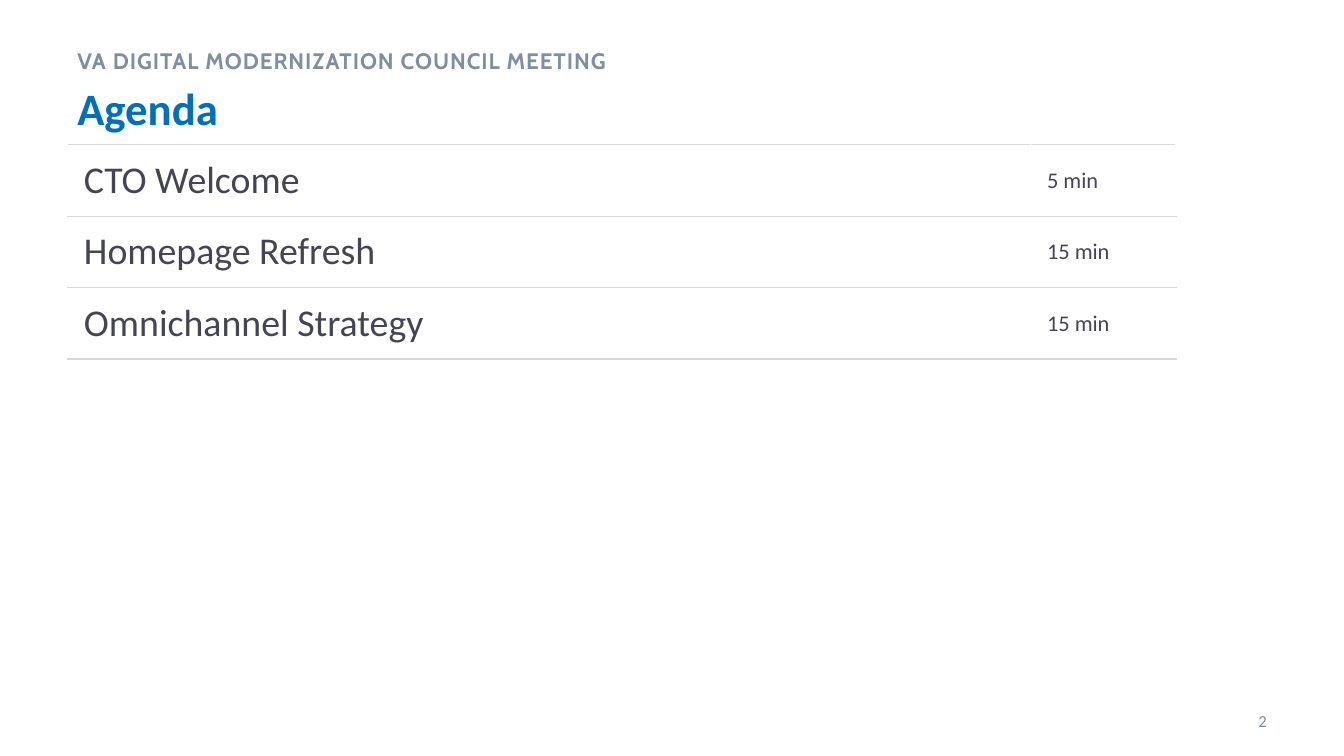
from lxml import etree
from pptx import Presentation
from pptx.dml.color import RGBColor
from pptx.enum import text
from pptx.oxml import ns
from pptx.util import Pt

BLUE, GREY, INK = "0070BC", "7F8EA3", "454454"
WHITE, RULE = "FFFFFF", "D9D9D9"
AGENDA = [
    ("CTO Welcome", "5 min"),
    ("Homepage Refresh", "15 min"),
    ("Omnichannel Strategy", "15 min"),
]


def color(hex_string):
    return RGBColor.from_string(hex_string)


def style(paragraph, size, hex_string, name="Calibri", bold=False):
    font = paragraph.font
    font.size, font.name, font.bold = Pt(size), name, bold
    font.color.rgb = color(hex_string)


def place(shape, left, top, width, height, anchor):
    shape.left, shape.top = Pt(left), Pt(top)
    shape.width, shape.height = Pt(width), Pt(height)
    frame = shape.text_frame
    frame.word_wrap = True
    frame.auto_size = text.MSO_AUTO_SIZE.NONE
    frame.vertical_anchor = anchor
    return frame.paragraphs[0]


def set_borders(cell):
    """Rules above and below the cell, white lines at its sides."""
    sides = [("lnL", WHITE), ("lnR", WHITE), ("lnT", RULE), ("lnB", RULE)]
    properties = cell._tc.get_or_add_tcPr()
    for position, (side, hex_string) in enumerate(sides):
        line = etree.Element(ns.qn(f"a:{side}"), w=str(Pt(1)))
        fill = etree.SubElement(line, ns.qn("a:solidFill"))
        etree.SubElement(fill, ns.qn("a:srgbClr"), val=hex_string)
        properties.insert(position, line)


def add_heading(slide, left, top, width):
    # Title
    paragraph = place(slide.shapes.title, left, top + 28, width, 66,
                      text.MSO_ANCHOR.TOP)
    paragraph.text = "Agenda"
    paragraph.alignment = text.PP_ALIGN.LEFT
    style(paragraph, 32, BLUE, bold=True)

    # Meeting name above the title
    paragraph = place(slide.placeholders[1], left, top, width, 28,
                      text.MSO_ANCHOR.TOP)
    paragraph.text = "VA DIGITAL MODERNIZATION COUNCIL MEETING"
    properties = paragraph._p.get_or_add_pPr()
    properties.set("marL", "0")
    properties.set("indent", "0")
    etree.SubElement(properties, ns.qn("a:buNone"))
    paragraph.line_spacing = 1.2
    paragraph.space_before, paragraph.space_after = Pt(0), Pt(8)
    style(paragraph, 16, GREY, "Cabin", bold=True)
    paragraph.runs[0].font._element.set("spc", "70")


def add_agenda(slide, left, top, width, row_height=51, time_width=104):
    frame = slide.shapes.add_table(len(AGENDA), 2, Pt(left), Pt(top), Pt(width),
                                   Pt(row_height * len(AGENDA)))
    table = frame.table
    table.first_row = table.horz_banding = False
    table.columns[0].width = Pt(width - time_width)
    table.columns[1].width = Pt(time_width)
    for row, entry in zip(table.rows, AGENDA):
        row.height = Pt(row_height)
        for cell, words, size in zip(row.cells, entry, (27, 16)):
            cell.text = words
            cell.vertical_anchor = text.MSO_ANCHOR.MIDDLE
            cell.margin_left = cell.margin_right = Pt(12)
            cell.margin_top = cell.margin_bottom = Pt(5)
            style(cell.text_frame.paragraphs[0], size, INK)
            cell.fill.background()
            set_borders(cell)


def add_page_number(slide, left, top, width, height):
    box = slide.shapes.add_textbox(Pt(left), Pt(top), Pt(width), Pt(height))
    paragraph = place(box, left, top, width, height, text.MSO_ANCHOR.MIDDLE)
    paragraph.text = "2"
    paragraph.alignment = text.PP_ALIGN.RIGHT
    style(paragraph, 12, GREY)


def main():
    presentation = Presentation()
    presentation.slide_width, presentation.slide_height = Pt(960), Pt(540)
    slide = presentation.slides.add_slide(presentation.slide_layouts[1])
    add_heading(slide, 48, 26, 792)
    add_agenda(slide, 48, 103.5, 792)
    add_page_number(slide, 840, 500.5, 72, 29)
    presentation.save("out.pptx")


if __name__ == "__main__":
    main()
